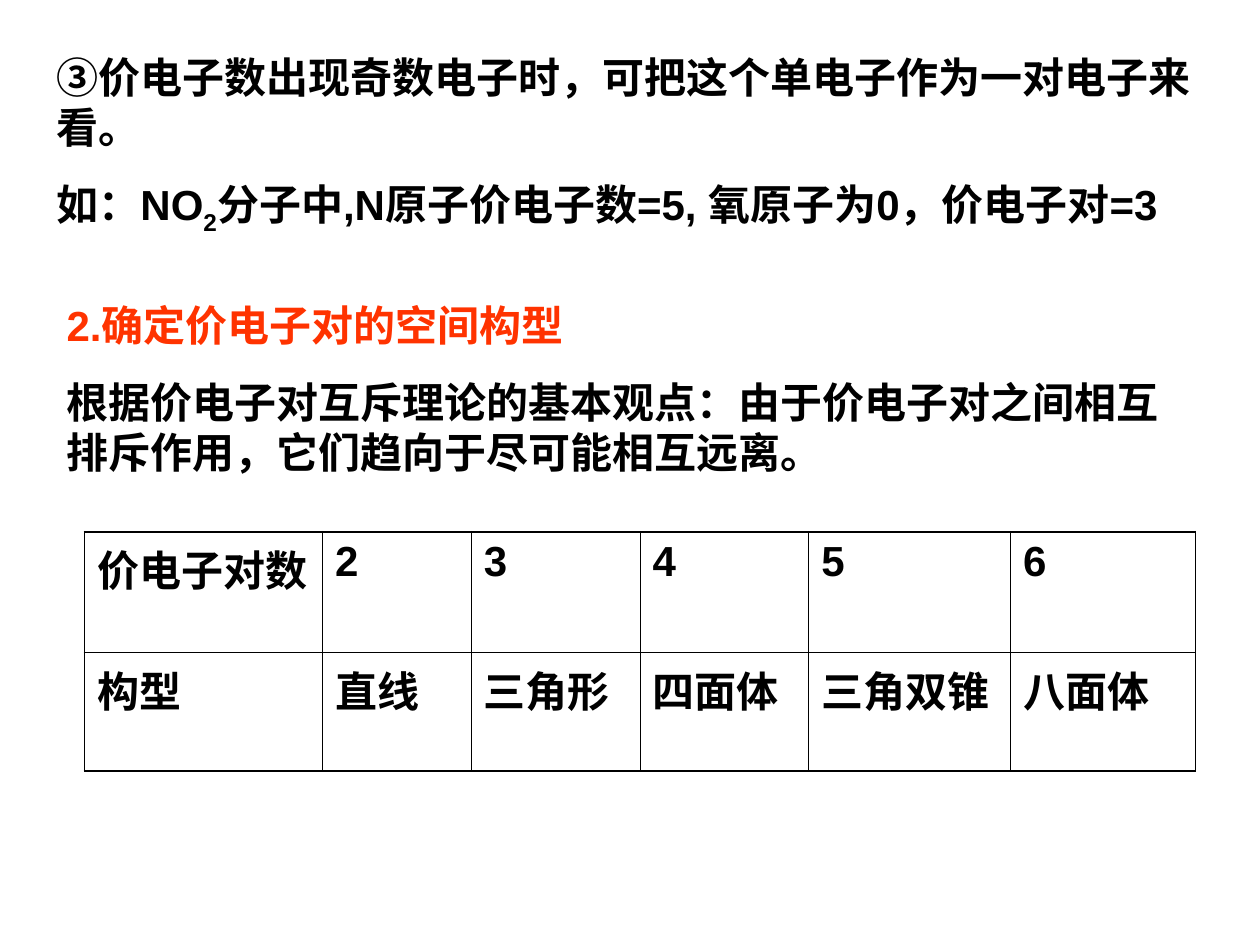
from dataclasses import dataclass

from lxml import etree
from pptx import Presentation
from pptx import util as u
from pptx.dml import color
from pptx.enum import lang, text
from pptx.oxml import ns

PX = 9144


@dataclass(frozen=True)
class Theme:
    font: str = "Arial"
    size: int = 24
    ink: str = "000000"
    accent: str = "FF3300"
    gap: int = 15
    subscript: int = -25000
    outer_line: float = 1.08
    inner_line: float = 0.45


class Painter:
    def __init__(self, deck, theme):
        self.theme = theme
        self.page = deck.slides.add_slide(deck.slide_layouts[6])

    def span(self, para, words, ink, baseline=0):
        span = para.add_run()
        span.text = words
        font = span.font
        font.name, font.size, font.bold = self.theme.font, u.Pt(self.theme.size), True
        font.color.rgb = color.RGBColor.from_string(ink)
        font.language_id = lang.MSO_LANGUAGE_ID.SIMPLIFIED_CHINESE
        if baseline:
            span._r.get_or_add_rPr().set("baseline", str(baseline))

    def text_box(self, frame, paragraphs):
        box = self.page.shapes.add_textbox(*(n * PX for n in frame)).text_frame
        box.word_wrap = True
        box.auto_size = text.MSO_AUTO_SIZE.SHAPE_TO_FIT_TEXT
        for index, spans in enumerate(paragraphs):
            para = box.add_paragraph() if index else box.paragraphs[0]
            if index:
                para.space_before = u.Pt(self.theme.gap)
            for span in spans:
                self.span(para, *span)

    def border(self, cell, side, width):
        props = cell._tc.get_or_add_tcPr()
        line = etree.SubElement(props, ns.qn(f"a:ln{side}"), w=str(u.Pt(width)))
        fill = etree.SubElement(line, ns.qn("a:solidFill"))
        etree.SubElement(fill, ns.qn("a:srgbClr"), val=self.theme.ink)

    def table(self, left, top, widths, heights, rows):
        frame = self.page.shapes.add_table(
            len(heights), len(widths), left * PX, top * PX,
            sum(widths) * PX, sum(heights) * PX)
        table = frame.table
        table.first_row = table.horz_banding = False
        for column, width in zip(table.columns, widths):
            column.width = width * PX
        for row, height in zip(table.rows, heights):
            row.height = height * PX
        for r, words in enumerate(rows):
            for c, word in enumerate(words):
                cell = table.cell(r, c)
                self.span(cell.text_frame.paragraphs[0], word, self.theme.ink)
                edges = {"L": c == 0, "R": c == len(widths) - 1,
                         "T": r == 0, "B": r == len(heights) - 1}
                for side, outer in edges.items():
                    width = self.theme.outer_line if outer else self.theme.inner_line
                    self.border(cell, side, width)
                cell.fill.background()


def main():
    deck = Presentation()
    deck.slide_width, deck.slide_height = 1000 * PX, 750 * PX
    theme = Theme()
    painter = Painter(deck, theme)
    painter.text_box((35, 36, 929, 197), [
        [("③价电子数出现奇数电子时，可把这个单电子作为一对电子来看。", theme.ink)],
        [("如：NO", theme.ink),
         ("2", theme.ink, theme.subscript),
         ("分子中,N原子价电子数=5, 氧原子为0，价电子对=3", theme.ink)],
    ])
    painter.text_box((43, 233, 914, 151), [
        [("2.确定价电子对的空间构型", theme.accent)],
        [("根据价电子对互斥理论的基本观点：由于价电子对之间相互排斥作用，"
          "它们趋向于尽可能相互远离。", theme.ink)],
    ])
    painter.table(67, 422, (189, 118, 134, 134, 160, 147), (96, 94), [
        ("价电子对数", "2", "3", "4", "5", "6"),
        ("构型", "直线", "三角形", "四面体", "三角双锥", "八面体"),
    ])
    deck.save("out.pptx")


if __name__ == "__main__":
    main()
